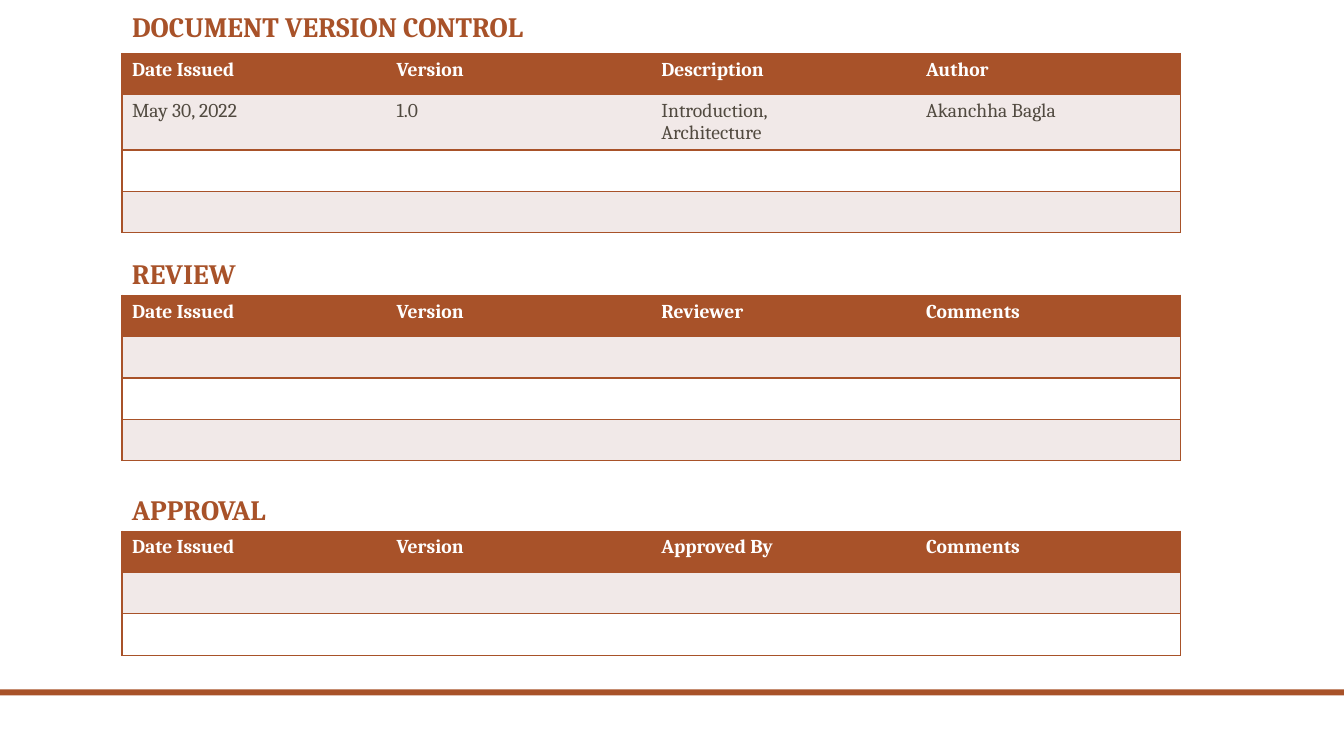
from pptx import Presentation
from pptx.dml.color import RGBColor
from pptx.enum import shapes, text
from pptx.oxml import parse_xml
from pptx.oxml.ns import nsdecls
from pptx.util import Inches, Pt

FONT = "Cambria"
RUST, BLUSH, WHITE, BROWN = "A85229", "F1E9E8", "FFFFFF", "514A40"
LEFT, WIDTH = 1.21, 10.5
HEADING_HEIGHT, ROW_HEIGHT = 1.25, 0.41

# Heading, heading top, table top, rows of cells
SECTIONS = [
    ("DOCUMENT VERSION CONTROL", -0.77, 0.53, [
        ["Date Issued", "Version", "Description", "Author"],
        ["May 30, 2022", "1.0", "Introduction,\nArchitecture", "Akanchha Bagla"],
        [""] * 4,
        [""] * 4,
    ]),
    ("REVIEW", 1.68, 2.93, [
        ["Date Issued", "Version", "Reviewer", "Comments"],
        [""] * 4,
        [""] * 4,
        [""] * 4,
    ]),
    ("APPROVAL", 4.02, 5.27, [
        ["Date Issued", "Version", "Approved By", "Comments"],
        [""] * 4,
        [""] * 4,
    ]),
]


def colour(value):
    return RGBColor.from_string(value)


def format_text(frame, size, value, bold):
    for para in frame.paragraphs:
        for span in para.runs:
            span.font.name = FONT
            span.font.size = Pt(size)
            span.font.bold = bold
            span.font.color.rgb = colour(value)


def format_heading(box, wording, top):
    box.left, box.top = Inches(LEFT), Inches(top)
    box.width, box.height = Inches(WIDTH), Inches(HEADING_HEIGHT)
    frame = box.text_frame
    frame.text = wording
    frame.word_wrap = True
    frame.auto_size = text.MSO_AUTO_SIZE.NONE
    frame.vertical_anchor = text.MSO_ANCHOR.BOTTOM
    frame.paragraphs[0].alignment = text.PP_ALIGN.LEFT
    frame.paragraphs[0].line_spacing = 0.9
    format_text(frame, 20, RUST, True)


def set_borders(cell, visible_sides):
    """Draw the given sides (letters from LRTB) and hide the others."""
    properties = cell._tc.get_or_add_tcPr()
    for position, side in enumerate("LRTB"):
        line = (f'<a:solidFill><a:srgbClr val="{RUST}"/></a:solidFill>'
                if side in visible_sides else "<a:noFill/>")
        properties.insert(position, parse_xml(
            f'<a:ln{side} {nsdecls("a")} w="{Pt(1)}">{line}</a:ln{side}>'))


def add_log_table(page, top, rows):
    columns = len(rows[0])
    table = page.shapes.add_table(
        len(rows), columns, Inches(LEFT), Inches(top),
        Inches(WIDTH), Inches(ROW_HEIGHT * len(rows))).table
    for column in table.columns:
        column.width = Inches(WIDTH / columns)
    for row_index, row in enumerate(rows):
        header = row_index == 0
        band = RUST if header else BLUSH if row_index % 2 else WHITE
        for column_index, wording in enumerate(row):
            cell = table.cell(row_index, column_index)
            cell.text_frame.text = wording
            format_text(cell.text_frame, 14, WHITE if header else BROWN, header)
            cell.fill.solid()
            cell.fill.fore_color.rgb = colour(band)
            outer = {0: "L", columns - 1: "R"}.get(column_index, "")
            set_borders(cell, "TB" + outer)


def add_footer_bar(page):
    bar = page.shapes.add_shape(
        shapes.MSO_SHAPE.RECTANGLE, 0, Inches(6.84), Inches(13.33), Inches(0.06))
    bar.shadow.inherit = False
    bar.fill.solid()
    bar.fill.fore_color.rgb = colour(RUST)
    bar.line.fill.background()


def main():
    deck = Presentation()
    deck.slide_width, deck.slide_height = Inches(13.33), Inches(7.5)
    page = deck.slides.add_slide(deck.slide_layouts[5])
    add_footer_bar(page)
    for index, (heading, heading_top, table_top, rows) in enumerate(SECTIONS):
        box = page.shapes.add_textbox(0, 0, 0, 0) if index else page.shapes.title
        format_heading(box, heading, heading_top)
        add_log_table(page, table_top, rows)
    deck.save("out.pptx")


if __name__ == "__main__":
    main()
